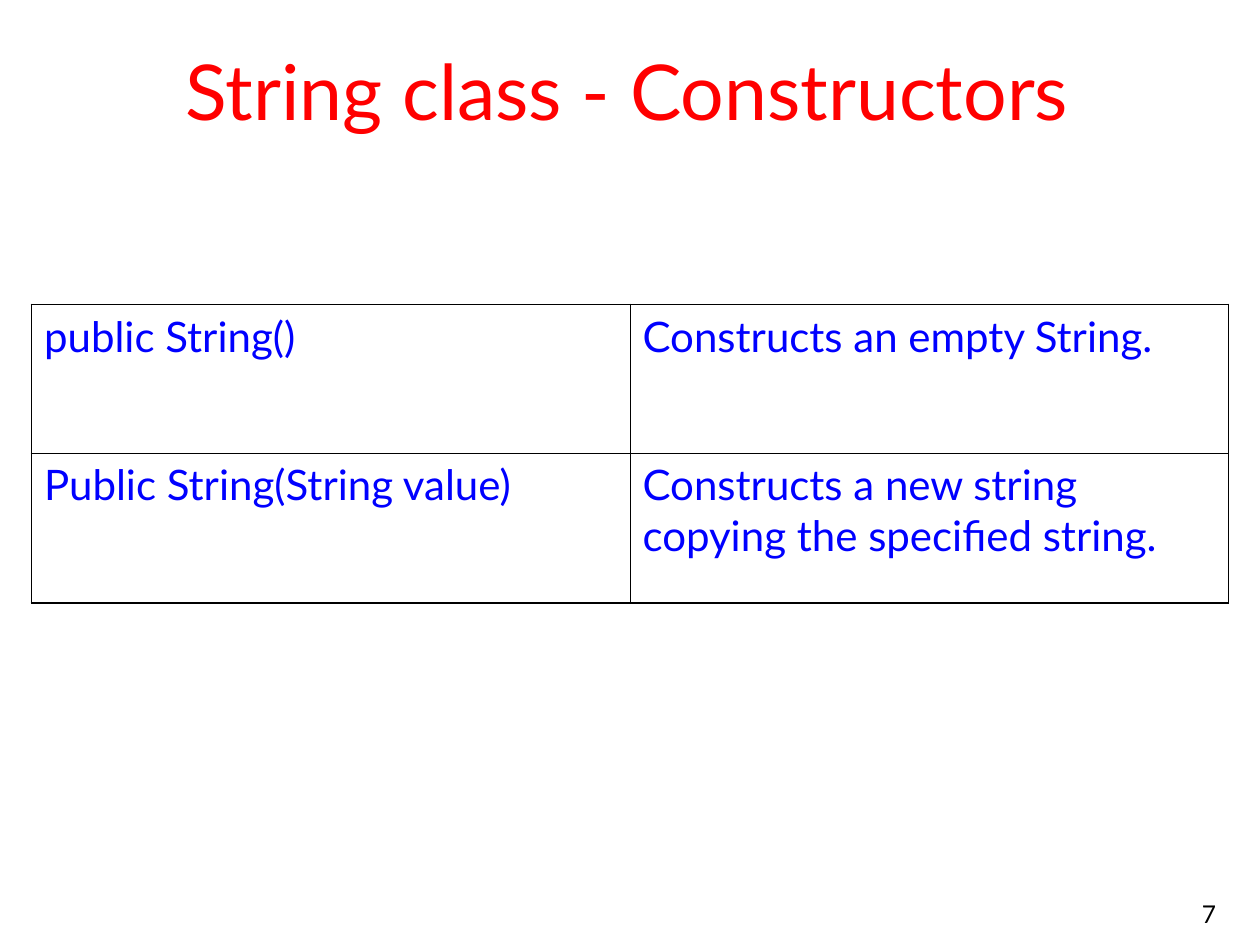
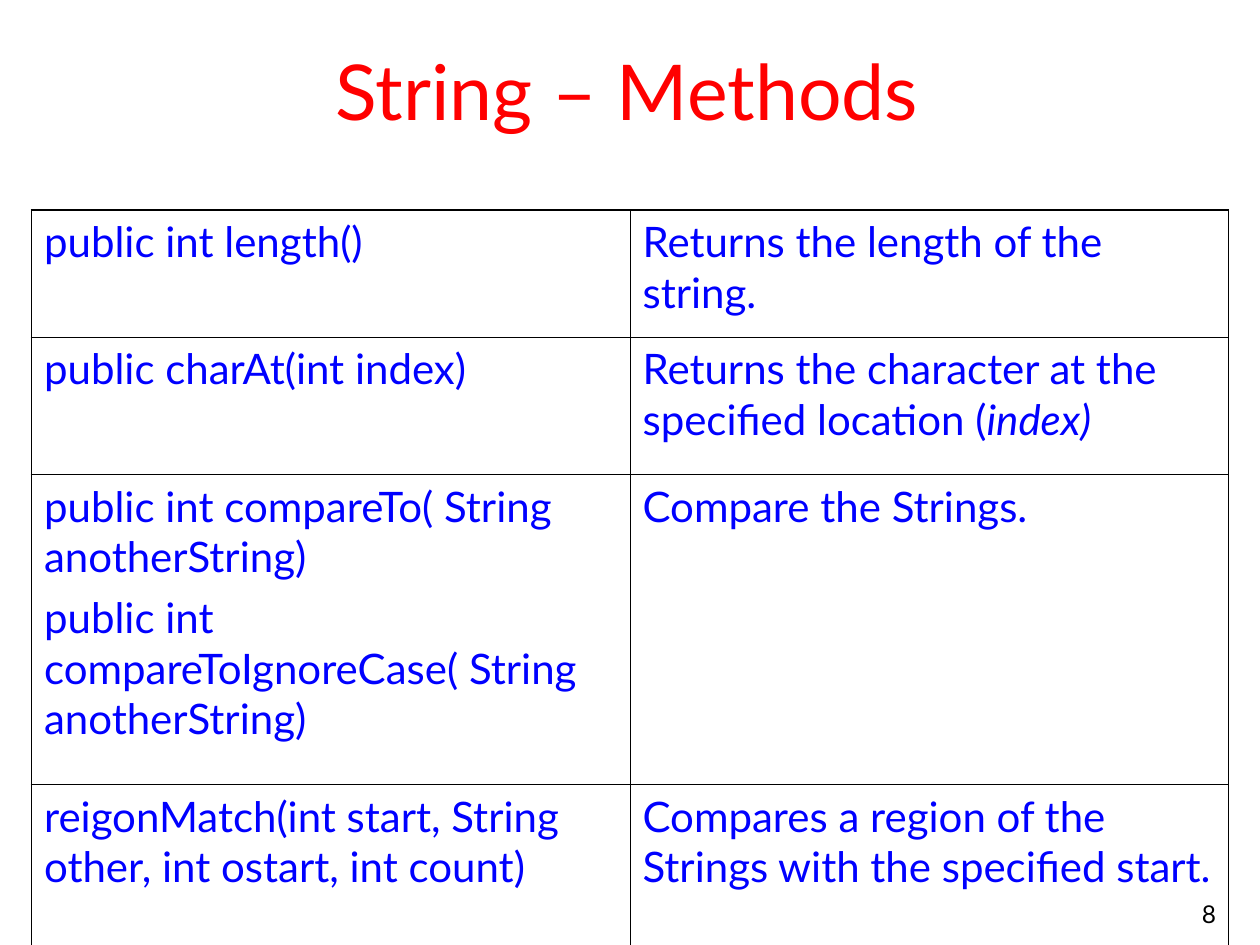
from dataclasses import dataclass

from lxml import etree
from pptx import Presentation
from pptx.dml.color import RGBColor
from pptx.enum.text import MSO_ANCHOR, MSO_AUTO_SIZE, PP_ALIGN
from pptx.oxml.ns import qn
from pptx.util import Pt

CENTER, RIGHT = PP_ALIGN.CENTER, PP_ALIGN.RIGHT
MIDDLE, BOTTOM = MSO_ANCHOR.MIDDLE, MSO_ANCHOR.BOTTOM
NO_AUTOFIT = MSO_AUTO_SIZE.NONE


@dataclass(frozen=True)
class Theme:
    """Colours, type sizes and line widths shared by the slides."""
    font: str = "Lato"
    paper: RGBColor = RGBColor(255, 255, 255)
    title: RGBColor = RGBColor(255, 0, 0)
    body: RGBColor = RGBColor(0, 0, 255)
    ink: RGBColor = RGBColor(0, 0, 0)
    title_size: int = 44
    body_size: int = 24
    number_size: int = 14
    outer_line: float = 1.08
    inner_line: float = 0.45


theme = Theme()
COLUMN_WIDTH = 342
ITALIC_MARK = "|"  # text between two marks is set in italics

# title, page number, table top, rows of (height, signature, meaning)
slides = [
    ("String class - Constructors", "7", 174, [
        (85, "public String()", "Constructs an empty String."),
        (85.5, "Public String(String value)",
         "Constructs a new string copying the specified string. "),
    ]),
    ("String – Methods", "8", 120, [
        (72.75, "public int length()", "Returns the length of the string."),
        (78.5, "public charAt(int index)",
         "Returns the character at the specified location (|index)|"),
        (177, "public int compareTo( String anotherString)\n"
         "public int compareToIgnoreCase( String anotherString)",
         "Compare the Strings."),
        (106, "reigonMatch(int start, String other, int ostart, int count)",
         "Compares a region of the Strings with the specified start."),
    ]),
]


def style_runs(paragraph, size, color):
    """Give every run of a paragraph the theme font, a size and a colour."""
    for span in paragraph.runs:
        span.font.name = theme.font
        span.font.size = Pt(size)
        span.font.color.rgb = color


def draw_border(cell, side, width):
    """Draw one side of a cell as a solid line."""
    line = etree.SubElement(cell._tc.get_or_add_tcPr(), qn(f"a:{side}"),
                            w=str(int(Pt(width))))
    fill = etree.SubElement(line, qn("a:solidFill"))
    etree.SubElement(fill, qn("a:srgbClr"), val=str(theme.ink))


deck = Presentation()
deck.slide_width, deck.slide_height = Pt(720), Pt(540)
title_only = deck.slide_layouts[5]

for heading, number, table_top, rows in slides:
    page = deck.slides.add_slide(title_only)
    page.background.fill.solid()
    page.background.fill.fore_color.rgb = theme.paper

    title = page.shapes.title
    title.left, title.top, title.width, title.height = Pt(12), Pt(12), Pt(693), Pt(78)
    title.fill.solid()
    title.fill.fore_color.rgb = theme.paper
    title.text_frame.text = heading
    title.text_frame.auto_size = NO_AUTOFIT
    title.text_frame.vertical_anchor = MIDDLE
    title.text_frame.paragraphs[0].alignment = CENTER
    style_runs(title.text_frame.paragraphs[0], theme.title_size, theme.title)

    number_box = page.shapes.add_textbox(Pt(552), Pt(498), Pt(150), Pt(36))
    number_box.text_frame.word_wrap = True
    number_box.text_frame.vertical_anchor = BOTTOM
    number_box.text_frame.text = number
    number_box.text_frame.paragraphs[0].alignment = RIGHT
    style_runs(number_box.text_frame.paragraphs[0], theme.number_size, theme.ink)

    table_height = sum(row[0] for row in rows)
    table = page.shapes.add_table(len(rows), 2, Pt(18), Pt(table_top),
                                  Pt(2 * COLUMN_WIDTH), Pt(table_height)).table
    table.first_row = table.horz_banding = False
    for row_index, (height, *texts) in enumerate(rows):
        table.rows[row_index].height = Pt(height)
        for column_index, text in enumerate(texts):
            cell = table.cell(row_index, column_index)
            outer_sides = {
                "lnL": column_index == 0,
                "lnR": column_index == 1,
                "lnT": row_index == 0,
                "lnB": row_index == len(rows) - 1,
            }
            for side, is_outer in outer_sides.items():
                draw_border(cell, side, theme.outer_line if is_outer else theme.inner_line)
            cell.fill.background()

            cell.text_frame.text = text.replace(ITALIC_MARK, "")
            for paragraph, line in zip(cell.text_frame.paragraphs, text.split("\n")):
                if ITALIC_MARK in line:
                    plain, slanted, _ = line.split(ITALIC_MARK)
                    paragraph.text = plain
                    span = paragraph.add_run()
                    span.text = slanted
                    span.font.italic = True
                paragraph.space_before = Pt(6)
                style_runs(paragraph, theme.body_size, theme.body)

deck.save("out.pptx")
